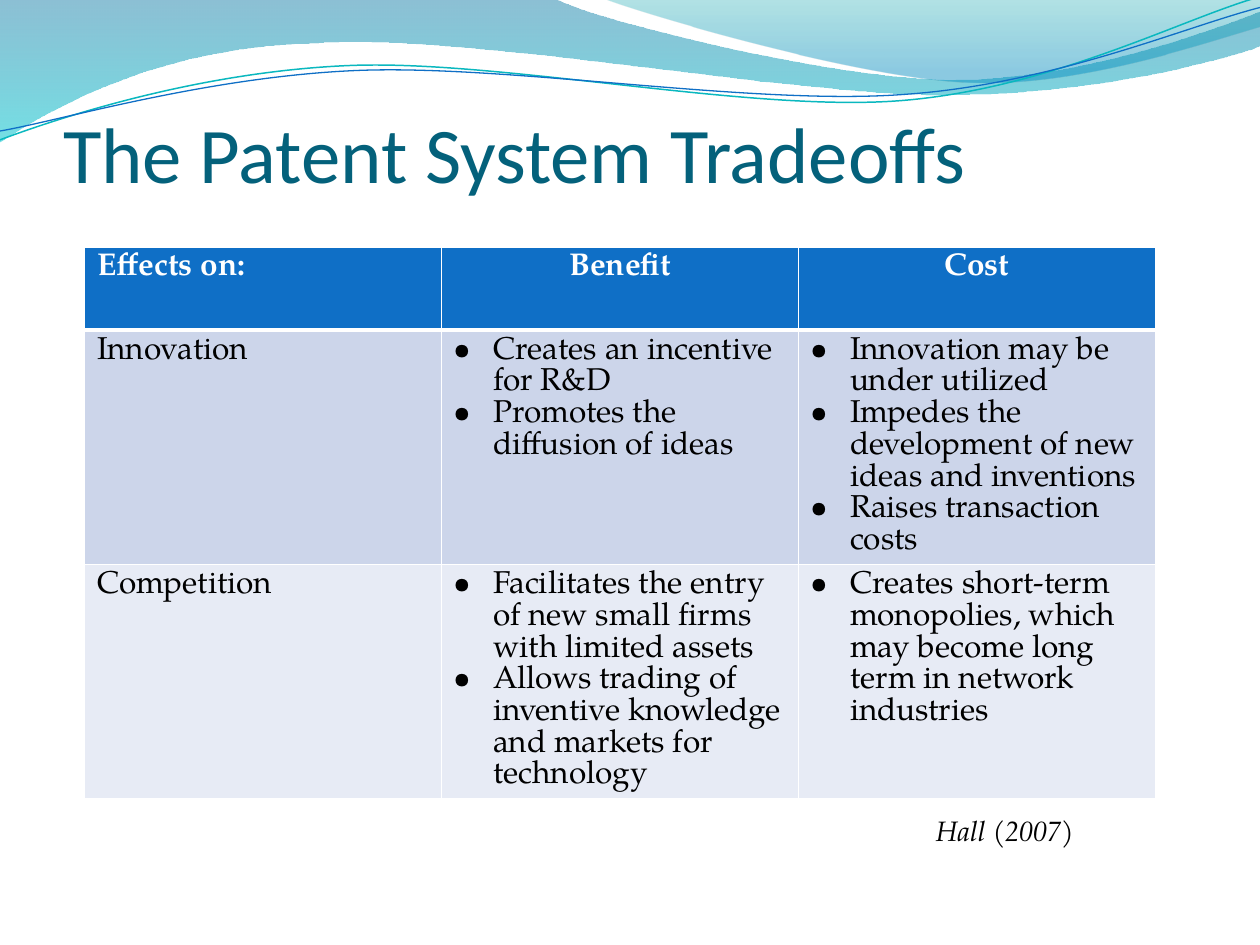
import math
from dataclasses import dataclass

from lxml import etree
from pptx import Presentation
from pptx.dml.color import RGBColor
from pptx.enum import text
from pptx.oxml import ns
from pptx.util import Inches, Pt


@dataclass(frozen=True)
class Theme:
    title: str = "04617B"
    accent: str = "0F6FC6"
    teal: str = "0AB8BF"
    white: str = "FFFFFF"
    black: str = "000000"
    bands: tuple = ("CCD5EA", "E7EBF5")
    head_font: str = "Calibri"
    body_font: str = "TeX Gyre Pagella"
    title_size: int = 45
    body_size: int = 18
    source_size: int = 16


T = Theme()
LINE_TILT = -2.7

# Wave outlines: a start point, then line ends (2 numbers) or Bézier curves (6)
BACK_WAVE = [(0, 0), (4.4, -0.01), (4.76, 0.17, 6.64, 0.63, 7.58, 0.63),
             (8.53, 0.63, 9.58, 0.26, 10, 0.09), (10.01, 0.36),
             (9.83, 0.44, 8.7, 0.76, 7.46, 0.75), (6.22, 0.75, 3.82, 0.28, 2.57, 0.34),
             (1.29, 0.36, 0.46, 0.83, -0.01, 1.13), (0, 0)]
FRONT_WAVE = [(4.79, -0.01), (5.09, 0.11, 6.82, 0.62, 7.69, 0.65),
              (8.56, 0.69, 9.61, 0.32, 10, 0.21), (10, 0), (4.79, -0.01)]
TEAL_LINE = [(0, 1.11), (0.48, 0.93, 1.58, 0.57, 2.77, 0.52),
             (3.95, 0.47, 5.93, 0.89, 7.13, 0.8), (8.33, 0.71, 9.38, 0.15, 9.98, -0.02)]
BLUE_LINE = [(0, 1.04), (0.47, 0.96, 1.64, 0.61, 2.83, 0.56),
             (4.03, 0.51, 5.97, 0.84, 7.17, 0.75), (8.36, 0.67, 9.41, 0.21, 10, 0.06)]

HEADINGS = ["Effects on:", "Benefit", "Cost"]
EFFECTS = [
    ("Innovation",
     ["Creates an incentive for R&D", "Promotes the diffusion of ideas"],
     ["Innovation may be under utilized",
      "Impedes the development of new ideas and inventions",
      "Raises transaction costs"]),
    ("Competition",
     ["Facilitates the entry of new small firms with limited assets",
      "Allows trading of inventive knowledge and markets for technology"],
     ["Creates short-term monopolies, which may become long term in network industries"]),
]


def rgb(value):
    return RGBColor.from_string(value)


def style(font, color, **attrs):
    font.color.rgb = rgb(color)
    for name, value in attrs.items():
        setattr(font, name, value)


def turn(point, center, degrees):
    a = math.radians(degrees)
    dx, dy = point[0] - center[0], point[1] - center[1]
    return (center[0] + dx * math.cos(a) - dy * math.sin(a),
            center[1] + dx * math.sin(a) + dy * math.cos(a))


def add_outline(s, outline, close, tilt=0, center=(0, 0)):
    """Build a freeform from all nodes, then join node triples into curves."""
    nodes = [seg[i:i + 2] for seg in outline for i in range(0, len(seg), 2)]
    start, *rest = [tuple(map(Inches, turn(n, center, -tilt))) for n in nodes]
    builder = s.shapes.build_freeform(*start)
    builder.add_line_segments(rest, close=close)
    sp = builder.convert_to_shape()
    sp.rotation = tilt
    sp.shadow.inherit = False
    ends = iter(list(sp._element.iter(ns.qn("a:lnTo"))))
    for seg in outline[1:]:
        first = next(ends)
        if len(seg) == 6:
            first.tag = ns.qn("a:cubicBezTo")
            for extra in (next(ends), next(ends)):
                first.append(extra[0])
                extra.getparent().remove(extra)
    return sp


def add_wave(s, outline, stops):
    """Add a filled wave; stops are (position, colour, opacity percent)."""
    sp = add_outline(s, outline, True)
    sp.line.fill.background()
    sp.fill.gradient()
    sp.fill.gradient_angle = 270
    for stop, (position, color, _) in zip(sp.fill.gradient_stops, stops):
        stop.position = position
        stop.color.rgb = rgb(color)
    colors = sp._element.spPr.iter(ns.qn("a:srgbClr"))
    for element, (_, _, opacity) in zip(colors, stops):
        etree.SubElement(element, ns.qn("a:alpha"), val=str(opacity * 1000))


def add_wave_line(s, outline, center, color, width):
    sp = add_outline(s, outline, False, LINE_TILT, center)
    sp.fill.background()
    sp.line.color.rgb = rgb(color)
    sp.line.width = Pt(width)


def set_title(s, title):
    sp = s.shapes.title
    s.shapes._spTree.append(sp._element)  # in front of the waves
    sp.left, sp.top, sp.width, sp.height = map(Inches, (0.5, 0.77, 9, 0.81))
    tf = sp.text_frame
    tf.text = title
    for name, value in dict(margin_left=0, margin_right=0, margin_top=Inches(0.05),
                            margin_bottom=0, word_wrap=True,
                            vertical_anchor=text.MSO_ANCHOR.BOTTOM).items():
        setattr(tf, name, value)
    p = tf.paragraphs[0]
    p.alignment = text.PP_ALIGN.LEFT
    style(p.runs[0].font, T.title, name=T.head_font, size=Pt(T.title_size))


def set_borders(cell, widths):
    """Draw white borders; widths run left, right, top, bottom."""
    tcPr = cell._tc.get_or_add_tcPr()
    for i, (side, width) in enumerate(zip("LRTB", widths)):
        ln = etree.Element(ns.qn(f"a:ln{side}"), w=str(Pt(width)))
        fill = etree.SubElement(ln, ns.qn("a:solidFill"))
        etree.SubElement(fill, ns.qn("a:srgbClr"), val=T.white)
        tcPr.insert(i, ln)


def add_bullet(p):
    pPr = p._p.get_or_add_pPr()
    pPr.set("marL", str(Inches(0.31)))
    pPr.set("indent", str(-Inches(0.31)))
    etree.SubElement(pPr, ns.qn("a:buFont"), typeface=T.body_font)
    etree.SubElement(pPr, ns.qn("a:buChar"), char="•")


def fill_cell(cell, content, fill, color, widths, bold=False, align=None):
    """Fill a cell with one text, or with a list as bullets."""
    cell.fill.solid()
    cell.fill.fore_color.rgb = rgb(fill)
    set_borders(cell, widths)
    bulleted = isinstance(content, list)
    lines = content if bulleted else [content]
    tf = cell.text_frame
    tf.text = "\n".join(lines)
    for p in tf.paragraphs:
        p.alignment = align
        if bulleted:
            add_bullet(p)
        style(p.runs[0].font, color, name=T.body_font, size=Pt(T.body_size), bold=bold)


def add_effects_table(s):
    heights = [0.66, 1.86, 1.86]
    frame = s.shapes.add_table(len(heights), len(HEADINGS), Inches(0.67), Inches(1.96),
                               Inches(8.5), Inches(sum(heights)))
    table = frame.table
    for row, height in zip(table.rows, heights):
        row.height = Inches(height)
    for c, heading in enumerate(HEADINGS):
        align = text.PP_ALIGN.CENTER if c else text.PP_ALIGN.LEFT
        fill_cell(table.cell(0, c), heading, T.accent, T.white, (1, 1, 1, 3), True, align)
    for r, effect in enumerate(EFFECTS, 1):
        top = 3 if r == 1 else 1
        for c, content in enumerate(effect):
            fill_cell(table.cell(r, c), content, T.bands[r - 1], T.black, (1, 1, top, 1))


def add_source(s, source):
    tf = s.shapes.add_textbox(*map(Inches, (7.33, 6.41, 1.92, 0.37))).text_frame
    tf.word_wrap = True
    tf.text = source
    style(tf.paragraphs[0].runs[0].font, T.black, name=T.body_font,
          size=Pt(T.source_size), italic=True)


def main():
    prs = Presentation()
    prs.slide_width, prs.slide_height = Inches(10), Inches(7.5)
    s = prs.slides.add_slide(prs.slide_layouts[5])

    # Wave decoration
    add_wave(s, BACK_WAVE, [(0, "0074A1", 45), (1, "00C6CF", 55)])
    add_wave(s, FRONT_WAVE, [(0, "00A1A9", 30), (0.8, "008BBF", 45)])
    add_wave_line(s, TEAL_LINE, (4.99, 0.58), T.teal, 0.85)
    add_wave_line(s, BLUE_LINE, (5, 0.59), T.accent, 0.75)

    # Title, table and source
    set_title(s, "The Patent System Tradeoffs")
    add_effects_table(s)
    add_source(s, "Hall (2007)")

    prs.save("out.pptx")


if __name__ == "__main__":
    main()
